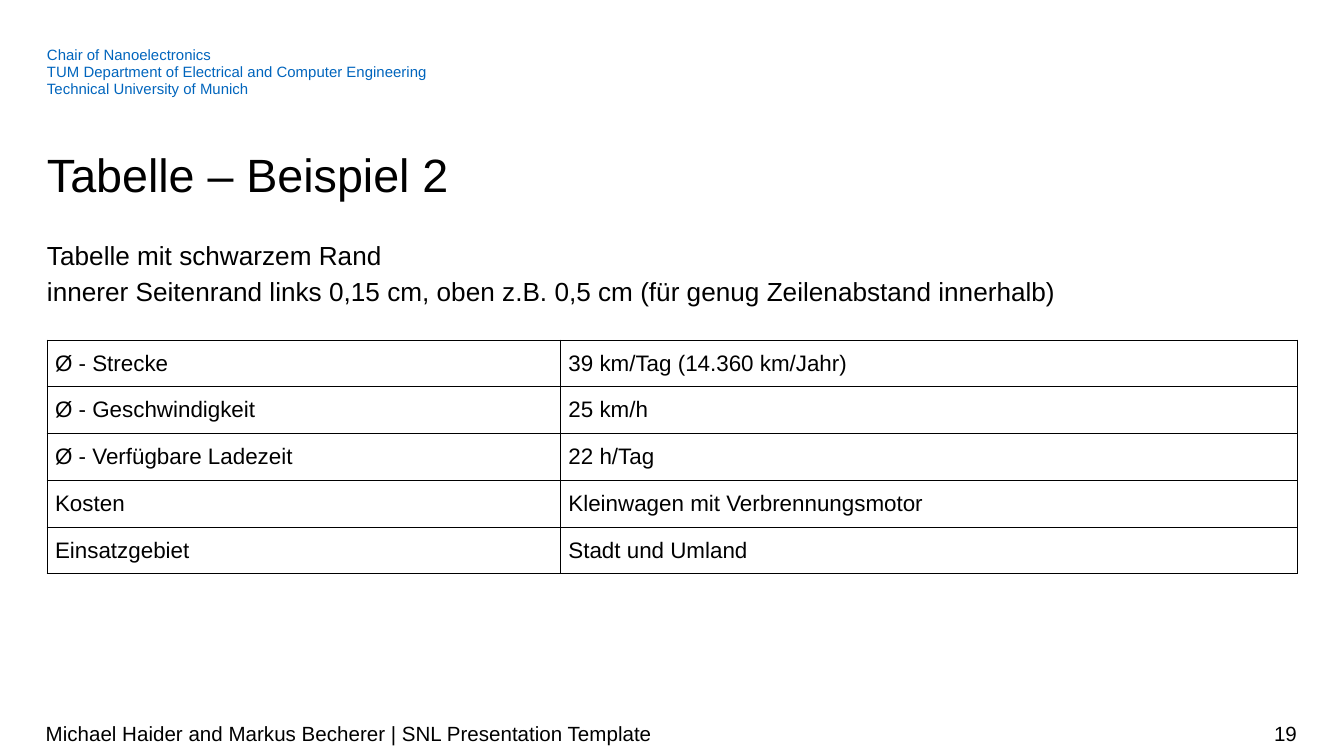
from lxml.etree import SubElement
from pptx import Presentation
from pptx.dml.color import RGBColor
from pptx.enum.text import MSO_ANCHOR as Anchor, PP_ALIGN as Align
from pptx.oxml.ns import qn
from pptx.util import Inches, Pt

BLACK = RGBColor(0x00, 0x00, 0x00)
BLUE = RGBColor(0x00, 0x65, 0xBD)
FONT = "Arial"

# Content: a list of paragraphs, each a list of lines
CHAIR = [["Chair of Nanoelectronics"],
         ["TUM Department of Electrical and Computer Engineering"],
         ["Technical University of Munich"]]
TITLE = [["Tabelle – Beispiel 2"]]
INTRO = [["Tabelle mit schwarzem Rand",
          "innerer Seitenrand links 0,15 cm, oben z.B. 0,5 cm "
          "(für genug Zeilenabstand innerhalb)"]]
ROWS = [("Ø - Strecke", "39 km/Tag (14.360 km/Jahr)"),
        ("Ø - Geschwindigkeit", "25 km/h"),
        ("Ø - Verfügbare Ladezeit", "22 h/Tag"),
        ("Kosten", "Kleinwagen mit Verbrennungsmotor"),
        ("Einsatzgebiet", "Stadt und Umland")]
FOOTER = [["Michael Haider and Markus Becherer | SNL Presentation Template"]]
PAGE = [["19"]]

# Layout in inches
WIDTH = 10
HEIGHT = WIDTH * 9 / 16
MARGIN = 0.35
BODY_W = WIDTH - 2 * MARGIN
LABEL_W = 3.82
COL_WIDTHS = (LABEL_W, BODY_W - LABEL_W)
TABLE_TOP, TABLE_H = 2.53, 1.74
ROW_H = TABLE_H / len(ROWS)
FOOT_TOP, FOOT_H, PAGE_W = 5.31, 0.3, 2.24


def add_run(p, text, size, color=BLACK):
    r = p.add_run()
    r.text = text
    r.font.name, r.font.size = FONT, Pt(size)
    r.font.color.rgb = color


def add_text(s, box, paragraphs, size, color=BLACK, spacing=None,
             align=Align.LEFT, anchor=Anchor.TOP, pad=0):
    tf = s.shapes.add_textbox(*map(Inches, box)).text_frame
    tf.word_wrap = True
    tf.vertical_anchor = anchor
    tf.margin_left = tf.margin_right = 0
    tf.margin_top = tf.margin_bottom = Inches(pad)
    for i, lines in enumerate(paragraphs):
        p = tf.add_paragraph() if i else tf.paragraphs[0]
        p.alignment, p.line_spacing = align, spacing
        for j, line in enumerate(lines):
            if j:
                p.add_line_break()
            add_run(p, line, size, color)


def add_borders(cell, width):
    tcPr = cell._tc.get_or_add_tcPr()
    for i, side in enumerate(("lnL", "lnR", "lnT", "lnB")):
        ln = tcPr.makeelement(qn("a:" + side), {"w": str(Pt(width))})
        fill = SubElement(ln, qn("a:solidFill"))
        SubElement(fill, qn("a:srgbClr"), val=str(BLACK))
        tcPr.insert(i, ln)  # borders come before the cell fill


def add_data_table(s):
    frame = s.shapes.add_table(
        len(ROWS), len(COL_WIDTHS), Inches(MARGIN), Inches(TABLE_TOP),
        Inches(BODY_W), Inches(TABLE_H))
    table = frame.table
    table.first_row = table.horz_banding = False
    for col, width in zip(table.columns, COL_WIDTHS):
        col.width = Inches(width)
    for row, texts in zip(table.rows, ROWS):
        row.height = Inches(ROW_H)
        for cell, text in zip(row.cells, texts):
            cell.fill.background()
            cell.vertical_anchor = Anchor.MIDDLE
            cell.margin_left, cell.margin_right = Inches(0.06), Inches(0.1)
            cell.margin_top = cell.margin_bottom = Inches(0.05)
            add_run(cell.text_frame.paragraphs[0], text, 12)
            add_borders(cell, 0.45)


def main():
    prs = Presentation()
    prs.slide_width, prs.slide_height = Inches(WIDTH), Inches(HEIGHT)
    s = prs.slides.add_slide(prs.slide_layouts[6])

    # Header, title and introduction
    add_text(s, (MARGIN, 0.35, 7.83, 0.37), CHAIR, 8, BLUE, Pt(9))
    add_text(s, (MARGIN, 1.06, BODY_W, 0.45), TITLE, 25, spacing=Pt(32))
    add_text(s, (MARGIN, 1.75, BODY_W, 0.55), INTRO, 14, spacing=1.14)

    add_data_table(s)

    # Footer and page number
    page_left = WIDTH - MARGIN - PAGE_W
    foot = dict(size=11, anchor=Anchor.MIDDLE, pad=0.05)
    add_text(s, (MARGIN - 0.01, FOOT_TOP, page_left - MARGIN, FOOT_H),
             FOOTER, **foot)
    add_text(s, (page_left, FOOT_TOP, PAGE_W, FOOT_H), PAGE,
             align=Align.RIGHT, **foot)

    prs.save("out.pptx")


if __name__ == "__main__":
    main()
